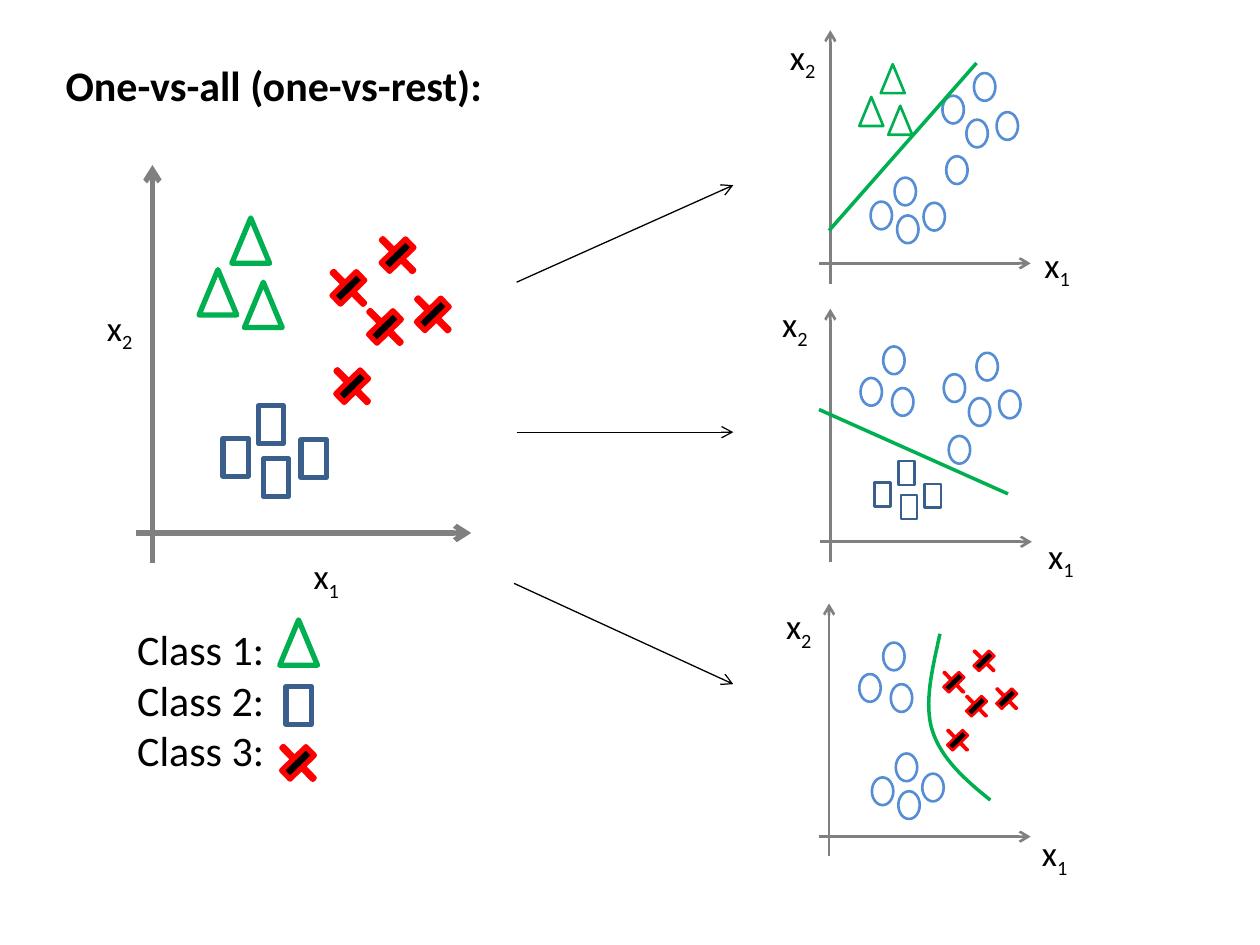
from lxml.etree import SubElement
from pptx import Presentation
from pptx.dml.color import RGBColor
from pptx.enum.shapes import MSO_CONNECTOR, MSO_SHAPE as Shape
from pptx.enum.text import MSO_ANCHOR, MSO_AUTO_SIZE, PP_ALIGN
from pptx.oxml.ns import qn
from pptx.util import Emu, Pt

PX = 9144  # EMU in one px, 100 px to the inch


class Theme:
    font = "Calibri"
    text, black = "000000", "000000"
    axis, boundary = "808080", "00B050"
    heading_size, label_size = 24, 20
    bold_line, thin_line, boundary_line, arrow_line = 3, 1.5, 2, 0.75


# mark: (preset, outline colour, fill, large size, small size)
MARKS = {
    "class 1": (Shape.ISOSCELES_TRIANGLE, "00B050", None, (30, 36), (19, 23)),
    "class 2": (Shape.RECTANGLE, "3A5F8C", None, (20, 30), (13, 19)),
    "class 3": (Shape.CROSS, "FF0000", Theme.black, (35, 27), (22, 17)),
    "rest": (Shape.OVAL, "558ED5", None, None, (17, 22)),
}
CROSS_ADJUST, CROSS_TURN = 0.47, 45.6

TITLE = ("One-vs-all (one-vs-rest):", (42, 42, 356, 50))
LEGEND = (["Class 1:", "Class 2:", "Class 3:"], (99, 490, 264, 131))
LEGEND_MARKS = {"class 1": [(222, 492)], "class 2": [(227, 545)], "class 3": [(219, 592)]}

# Each plot: axes as (start, end), label corners for x1 and x2, marks by top left corner
PLOTS = [
    {
        "large": True,
        "axes": [((121, 447), (121, 131)), ((108, 423), (374, 423))],
        "labels": [(239, 435), (75, 238)],
        "marks": {
            "class 1": [(184, 173), (158, 214), (194, 224)],
            "class 2": [(205, 322), (209, 364), (239, 349), (177, 348)],
            "class 3": [(262, 293), (259, 215), (288, 246), (298, 189), (326, 236)],
        },
    },
    {
        "large": False,
        "axes": [((659, 225), (659, 24)), ((650, 209), (818, 209))],
        "labels": [(819, 188), (617, 23)],
        "marks": {
            "class 1": [(699, 51), (682, 77), (705, 84)],
            "rest": [(748, 76), (773, 58), (767, 95), (751, 124), (791, 89),
                     (710, 141), (691, 160), (712, 171), (733, 161)],
        },
    },
    {
        "large": False,
        "axes": [((659, 446), (659, 245)), ((651, 430), (819, 430))],
        "labels": [(822, 419), (611, 235)],
        "marks": {
            "class 2": [(713, 366), (715, 393), (734, 384), (694, 383)],
            "rest": [(683, 300), (708, 308), (701, 275), (749, 297), (775, 280),
                     (769, 316), (753, 346), (793, 310)],
        },
    },
    {
        "large": False,
        "axes": [((658, 679), (658, 479)), ((650, 664), (818, 664))],
        "labels": [(817, 655), (614, 475)],
        "marks": {
            "rest": [(682, 535), (707, 543), (701, 510), (711, 598), (692, 617),
                     (713, 628), (732, 614)],
            "class 3": [(749, 579), (746, 533), (764, 552), (770, 516), (788, 546)],
        },
    },
]

SPLIT_ARROWS = [((410, 224), (582, 147)), ((410, 343), (582, 343)), ((408, 463), (582, 543))]
STRAIGHT_BOUNDARIES = [((775, 50), (658, 183)), ((650, 325), (800, 392))]
CURVED_BOUNDARY = [  # cubic Bezier pieces
    ((746, 503), (740, 531), (733, 558), (740, 580)),
    ((740, 580), (747, 602), (766, 619), (786, 635)),
]
CURVE_STEPS = 16


def emu(values):
    return [Emu(v * PX) for v in values]


def style_line(line, colour, width):
    line.color.rgb = RGBColor.from_string(colour)
    line.width = Pt(width)


def add_line(slide, start, end, colour, width, arrow=False):
    connector = slide.shapes.add_connector(MSO_CONNECTOR.STRAIGHT, *emu(start + end))
    style_line(connector.line, colour, width)
    if arrow:
        SubElement(connector.line._get_or_add_ln(), qn("a:tailEnd"), type="arrow")
    SubElement(connector._element.spPr, qn("a:effectLst"))


def add_marks(slide, groups, large):
    for name, corners in groups.items():
        preset, colour, fill, large_size, small_size = MARKS[name]
        for corner in corners:
            mark = slide.shapes.add_shape(
                preset, *emu(corner + (large_size if large else small_size)))
            mark.shadow.inherit = False
            if fill:
                mark.fill.solid()
                mark.fill.fore_color.rgb = RGBColor.from_string(fill)
            else:
                mark.fill.background()
            style_line(mark.line, colour, Theme.bold_line if large else Theme.thin_line)
            if preset == Shape.CROSS:
                mark.adjustments[0] = CROSS_ADJUST
                mark.rotation = CROSS_TURN


def style_text(paragraph, size, bold=False):
    font = paragraph.font
    font.name, font.size, font.bold = Theme.font, Pt(size), bold
    font.color.rgb = RGBColor.from_string(Theme.text)


def add_axis_label(slide, subscript, corner):
    frame = slide.shapes.add_textbox(*emu(corner + (42, 44))).text_frame
    frame.word_wrap = False
    paragraph = frame.paragraphs[0]
    style_text(paragraph, Theme.label_size)
    paragraph.add_run().text = "x"
    index = paragraph.add_run()
    index.text = subscript
    index._r.get_or_add_rPr().set("baseline", "-25000")


def add_plot(slide, plot):
    for start, end in plot["axes"]:
        width = Theme.bold_line if plot["large"] else Theme.thin_line
        add_line(slide, start, end, Theme.axis, width, arrow=True)
    for subscript, corner in zip("12", plot["labels"]):
        add_axis_label(slide, subscript, corner)
    add_marks(slide, plot["marks"], plot["large"])


def bezier_point(piece, t):
    weights = ((1 - t) ** 3, 3 * t * (1 - t) ** 2, 3 * t * t * (1 - t), t ** 3)
    return tuple(round(PX * sum(w * p[i] for w, p in zip(weights, piece))) for i in (0, 1))


def add_curve(slide, pieces):
    points = [bezier_point(piece, step / CURVE_STEPS)
              for piece in pieces for step in range(CURVE_STEPS + 1)]
    builder = slide.shapes.build_freeform(*points[0])
    builder.add_line_segments(points[1:], close=False)
    curve = builder.convert_to_shape()
    curve.shadow.inherit = False
    curve.fill.background()
    style_line(curve.line, Theme.boundary, Theme.boundary_line)


def add_title(slide):
    text, box = TITLE
    title = slide.shapes.title
    title.left, title.top, title.width, title.height = emu(box)
    frame = title.text_frame
    frame.text = text
    frame.vertical_anchor = MSO_ANCHOR.TOP
    frame.auto_size = MSO_AUTO_SIZE.NONE
    frame.paragraphs[0].alignment = PP_ALIGN.LEFT
    style_text(frame.paragraphs[0], Theme.heading_size, bold=True)


def add_legend(slide):
    names, box = LEGEND
    frame = slide.shapes.add_textbox(*emu(box)).text_frame
    frame.word_wrap = True
    frame.text = "\n".join(names)
    for paragraph in frame.paragraphs:
        style_text(paragraph, Theme.heading_size)
    add_marks(slide, LEGEND_MARKS, large=True)


def main():
    deck = Presentation()
    deck.slide_width, deck.slide_height = emu((1000, 750))
    slide = deck.slides.add_slide(deck.slide_layouts[5])
    add_title(slide)
    add_legend(slide)
    for plot in PLOTS:
        add_plot(slide, plot)
    for start, end in SPLIT_ARROWS:
        add_line(slide, start, end, Theme.black, Theme.arrow_line, arrow=True)
    for start, end in STRAIGHT_BOUNDARIES:
        add_line(slide, start, end, Theme.boundary, Theme.boundary_line)
    add_curve(slide, CURVED_BOUNDARY)
    deck.save("out.pptx")


if __name__ == "__main__":
    main()
